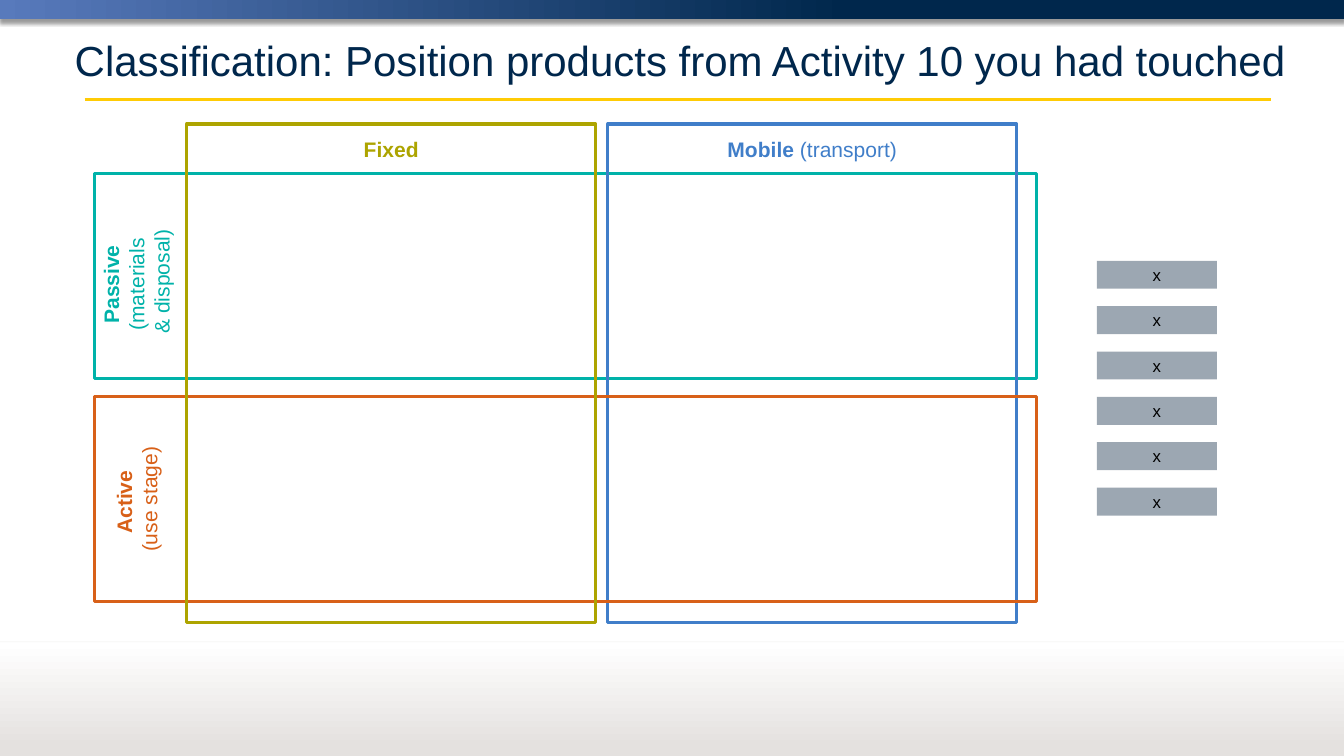
from lxml import etree
from pptx import Presentation
from pptx.dml.color import RGBColor
from pptx.enum.shapes import MSO_CONNECTOR, MSO_SHAPE
from pptx.enum.text import MSO_ANCHOR, PP_ALIGN
from pptx.oxml.ns import qn
from pptx.util import Inches, Pt

RECTANGLE = MSO_SHAPE.RECTANGLE
STRAIGHT = MSO_CONNECTOR.STRAIGHT
CENTER = PP_ALIGN.CENTER
MIDDLE = MSO_ANCHOR.MIDDLE

NAVY = RGBColor(0x00, 0x27, 0x4C)
PERIWINKLE = RGBColor(0x58, 0x7A, 0xBC)
MAIZE = RGBColor(0xFF, 0xCB, 0x05)
STONE = RGBColor(0xE4, 0xE1, 0xDF)
WHITE = RGBColor(0xFF, 0xFF, 0xFF)
BLACK = RGBColor(0x00, 0x00, 0x00)
MIDNIGHT = RGBColor(0x00, 0x1D, 0x39)
TEAL = RGBColor(0x00, 0xB2, 0xA9)
BLUE = RGBColor(0x40, 0x7E, 0xC9)
ORANGE = RGBColor(0xD8, 0x60, 0x18)
OLIVE = RGBColor(0xAD, 0xA4, 0x00)


def set_shadow(shape, blur=0, distance=0, opacity=0):
    """Replace the theme shadow by none, or by a black one falling downwards."""
    properties = shape._element.spPr
    effects = etree.SubElement(properties, qn("a:effectLst"))
    if opacity:
        shadow = etree.SubElement(effects, qn("a:outerShdw"), blurRad=str(Pt(blur)),
                                  dist=str(Pt(distance)), dir="5400000", rotWithShape="0")
        color = etree.SubElement(shadow, qn("a:srgbClr"), val=str(BLACK))
        etree.SubElement(color, qn("a:alpha"), val=str(opacity * 1000))


def add_run(paragraph, text, size, color, bold=False):
    run = paragraph.add_run()
    run.text = text
    run.font.name = "Arial"
    run.font.size = Pt(size)
    run.font.bold = bold
    run.font.color.rgb = color


presentation = Presentation()
presentation.slide_width = Inches(17.78)
presentation.slide_height = Inches(10)
slide = presentation.slides.add_slide(presentation.slide_layouts[6])
shapes = slide.shapes

# Gradient bands along the top and bottom: top, height, angle, stops, shadow
bands = [
    (0, 0.25, 0, [(0, PERIWINKLE), (63, NAVY), (100, NAVY)], (4, 3, 40)),
    (8.5, 1.5, 90, [(0, STONE), (8, STONE), (100, WHITE)], ()),
]
for top, height, angle, stops, shadow in bands:
    band = shapes.add_shape(RECTANGLE, 0, Inches(top), Inches(17.78), Inches(height))
    band.line.fill.background()
    band.fill.gradient()
    band.fill.gradient_angle = angle
    stop_list = band._element.spPr.find(".//" + qn("a:gsLst"))
    stop_list.clear()
    for position, color in stops:
        stop = etree.SubElement(stop_list, qn("a:gs"), pos=str(position * 1000))
        etree.SubElement(stop, qn("a:srgbClr"), val=str(color))
    set_shadow(band, *shadow)

# Rules under the title and above the footer: left, right, y, color, width, opacity, shadow
rules = [
    (1.12, 16.81, 1.32, MAIZE, 3, 100, ()),
    (0, 17.78, 8.49, STONE, 0.75, 30, (3.1, 1.6, 38)),
]
for left, right, y, color, width, opacity, shadow in rules:
    rule = shapes.add_connector(STRAIGHT, Inches(left), Inches(y), Inches(right), Inches(y))
    rule.line.color.rgb = color
    rule.line.width = Pt(width)
    if opacity < 100:
        line_color = rule.line._ln.find(".//" + qn("a:srgbClr"))
        etree.SubElement(line_color, qn("a:alpha"), val=str(opacity * 1000))
    set_shadow(rule, *shadow)

# Title
title = shapes.add_textbox(Inches(0.89), Inches(0.31), Inches(16.89), Inches(0.95))
title.text_frame.word_wrap = True
title.text_frame.vertical_anchor = MIDDLE
add_run(title.text_frame.paragraphs[0],
        "Classification: Position products from Activity 10 you had touched", 40, NAVY)

# Product tags to be placed in the grid
for index in range(6):
    tag = shapes.add_shape(RECTANGLE, Inches(14.51), Inches(3.45 + 0.6 * index),
                           Inches(1.59), Inches(0.37))
    tag.fill.solid()
    tag.fill.fore_color.rgb = MIDNIGHT
    tag_color = tag._element.spPr.find(".//" + qn("a:srgbClr"))
    etree.SubElement(tag_color, qn("a:alpha"), val="39000")
    tag.line.fill.background()
    set_shadow(tag)
    tag.text_frame.vertical_anchor = MIDDLE
    paragraph = tag.text_frame.paragraphs[0]
    paragraph.alignment = CENTER
    add_run(paragraph, "x", 16, BLACK)

# Overlapping row and column frames with their labels
ROW_SIZE = (12.46, 2.71)
COLUMN_SIZE = (5.41, 6.6)
# frame position, frame size, color, label position, label height, rotation, label lines
frames = [
    ((1.25, 2.3), ROW_SIZE, TEAL, (0.26, 3.17), 1.11, 270,
     [[("Passive ", True)], [("(materials ", False)], [("& disposal)", False)]]),
    ((8.04, 1.64), COLUMN_SIZE, BLUE, (9.2, 1.75), 0.44, 0,
     [[("Mobile ", True), ("(transport)", False)]]),
    ((1.25, 5.25), ROW_SIZE, ORANGE, (0.26, 6.22), 0.77, 270,
     [[("Active ", True)], [("(use stage)", False)]]),
    ((2.47, 1.64), COLUMN_SIZE, OLIVE, (3.63, 1.75), 0.44, 0,
     [[("Fixed", True)]]),
]
for position, size, color, label_position, label_height, rotation, lines in frames:
    frame = shapes.add_shape(RECTANGLE, *map(Inches, position + size))
    frame.fill.background()
    frame.line.color.rgb = color
    frame.line.width = Pt(3)
    set_shadow(frame)

    label = shapes.add_textbox(*map(Inches, label_position), Inches(3.09), Inches(label_height))
    label.rotation = rotation
    label.text_frame.word_wrap = True
    paragraph = label.text_frame.paragraphs[0]
    paragraph.alignment = CENTER
    for number, line in enumerate(lines):
        if number:
            paragraph.add_line_break()
        for text, bold in line:
            add_run(paragraph, text, 20, color, bold)

presentation.save("out.pptx")
